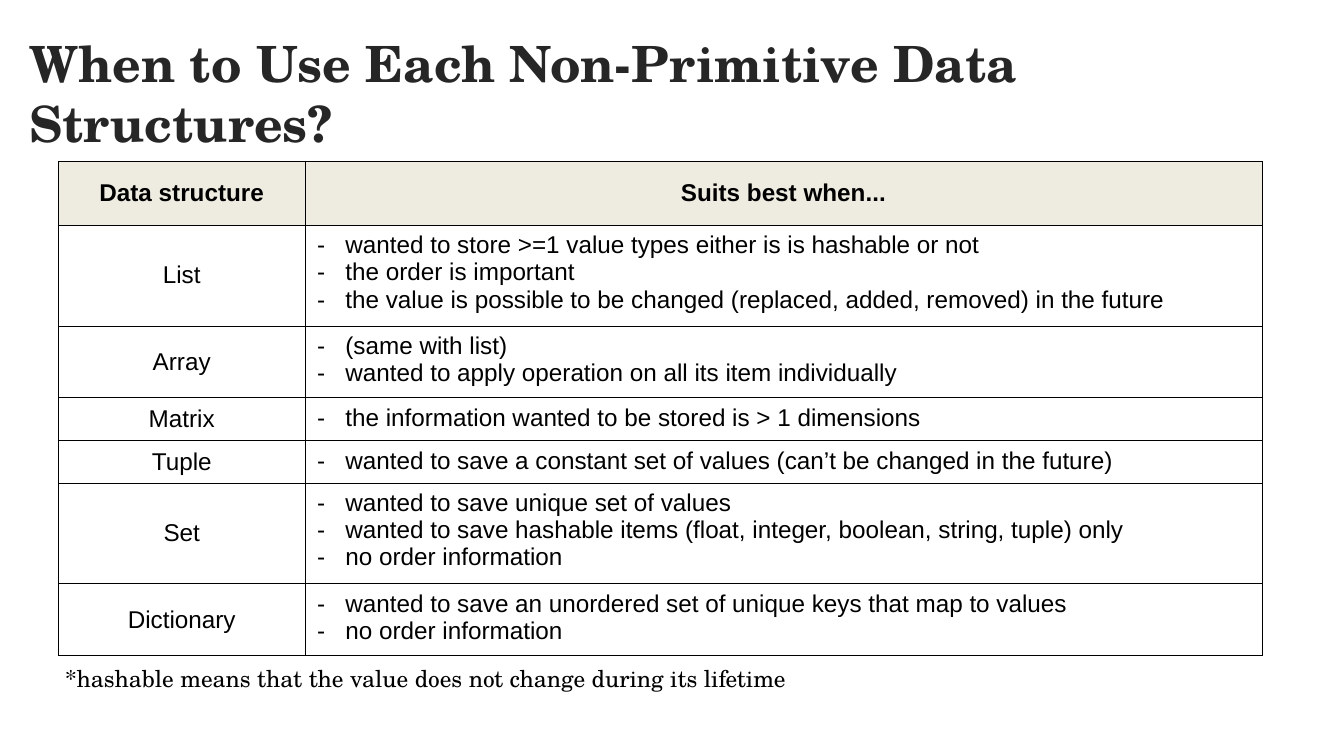
import pptx
import pptx.dml.color
import pptx.enum.text
import pptx.oxml
import pptx.oxml.ns
import pptx.util
import lxml.etree

PX = 9144
COLORS = {"title": "262626", "text": "000000", "header": "EEECE1", "border": "000000"}
SERIF = "TeX Gyre Schola"
SANS = "Arial"
CELL_INSET = 10
COLUMN_WIDTHS = [367, 1424]
ROW_HEIGHTS = [95, 150, 107, 63, 63, 150, 107]
STRUCTURES = [
    ("List", [
        "wanted to store >=1 value types either is is hashable or not",
        "the order is important",
        "the value is possible to be changed (replaced, added, removed) in the future",
    ]),
    ("Array", [
        "(same with list)",
        "wanted to apply operation on all its item individually",
    ]),
    ("Matrix", ["the information wanted to be stored is > 1 dimensions"]),
    ("Tuple", ["wanted to save a constant set of values (can’t be changed in the future)"]),
    ("Set", [
        "wanted to save unique set of values",
        "wanted to save hashable items (float, integer, boolean, string, tuple) only",
        "no order information",
    ]),
    ("Dictionary", [
        "wanted to save an unordered set of unique keys that map to values",
        "no order information",
    ]),
]


def add_run(paragraph, text, font, size, color, bold=False):
    run = paragraph.add_run()
    run.text = text
    run.font.name = font
    run.font.size = pptx.util.Pt(size)
    run.font.bold = bold
    run.font.color.rgb = pptx.dml.color.RGBColor.from_string(COLORS[color])


def add_element(parent, tag, **attributes):
    element = lxml.etree.SubElement(parent, pptx.oxml.ns.qn(tag))
    for name, value in attributes.items():
        element.set(name, str(value))
    return element


presentation = pptx.Presentation()
presentation.slide_width = 2000 * PX
presentation.slide_height = 1125 * PX
slide = presentation.slides.add_slide(presentation.slide_layouts[5])

title = slide.shapes.title
title.left, title.top, title.width, title.height = [n * PX for n in (44, 47, 1929, 92)]
frame = title.text_frame
frame.word_wrap = True
frame.auto_size = pptx.enum.text.MSO_AUTO_SIZE.SHAPE_TO_FIT_TEXT
frame.vertical_anchor = pptx.enum.text.MSO_ANCHOR.TOP
frame.margin_left = frame.margin_right = frame.margin_bottom = 0
frame.margin_top = 2 * PX
paragraph = frame.paragraphs[0]
paragraph.alignment = pptx.enum.text.PP_ALIGN.LEFT
add_run(paragraph, "When to Use Each Non-Primitive Data Structures?", SERIF, 53.5, "title", True)

table = slide.shapes.add_table(
    len(ROW_HEIGHTS), len(COLUMN_WIDTHS), 87 * PX, 240 * PX,
    sum(COLUMN_WIDTHS) * PX, sum(ROW_HEIGHTS) * PX,
).table
table.horz_banding = False
for column, width in zip(table.columns, COLUMN_WIDTHS):
    column.width = width * PX
for row, height in zip(table.rows, ROW_HEIGHTS):
    row.height = height * PX

rows = [("Data structure", ["Suits best when..."])] + STRUCTURES
for row_index, (name, uses) in enumerate(rows):
    is_header = row_index == 0
    for column_index, lines in enumerate(([name], uses)):
        cell = table.cell(row_index, column_index)
        is_list = column_index == 1 and not is_header
        cell.margin_left = cell.margin_right = CELL_INSET * PX
        cell.margin_top = cell.margin_bottom = CELL_INSET * PX
        anchors = pptx.enum.text.MSO_ANCHOR
        cell.vertical_anchor = anchors.TOP if is_list else anchors.MIDDLE

        properties = cell._tc.get_or_add_tcPr()
        for side in ("a:lnL", "a:lnR", "a:lnT", "a:lnB"):
            border = add_element(properties, side, w=pptx.util.Pt(0.75))
            add_element(add_element(border, "a:solidFill"), "a:srgbClr", val=COLORS["border"])
        if is_header:
            cell.fill.solid()
            cell.fill.fore_color.rgb = pptx.dml.color.RGBColor.from_string(COLORS["header"])
        else:
            cell.fill.background()

        for line_index, line in enumerate(lines):
            frame = cell.text_frame
            paragraph = frame.add_paragraph() if line_index else frame.paragraphs[0]
            if is_list:
                paragraph.alignment = pptx.enum.text.PP_ALIGN.LEFT
                bullet = paragraph._p.get_or_add_pPr()
                bullet.set("marL", str(50 * PX))
                bullet.set("indent", str(-42 * PX))
                add_element(add_element(bullet, "a:buClr"), "a:srgbClr", val=COLORS["text"])
                add_element(bullet, "a:buFont", typeface=SANS)
                add_element(bullet, "a:buChar", char="-")
            else:
                paragraph.alignment = pptx.enum.text.PP_ALIGN.CENTER
            add_run(paragraph, line, SANS, 26, "text", is_header)

footnote = slide.shapes.add_textbox(87 * PX, 979 * PX, 1605 * PX, 62 * PX)
frame = footnote.text_frame
frame.word_wrap = True
frame.auto_size = pptx.enum.text.MSO_AUTO_SIZE.SHAPE_TO_FIT_TEXT
frame.margin_left = frame.margin_right = CELL_INSET * PX
frame.margin_top = frame.margin_bottom = CELL_INSET * PX
add_run(
    frame.paragraphs[0],
    "*hashable means that the value does not change during its lifetime",
    SERIF, 25, "text",
)

presentation.save("out.pptx")
